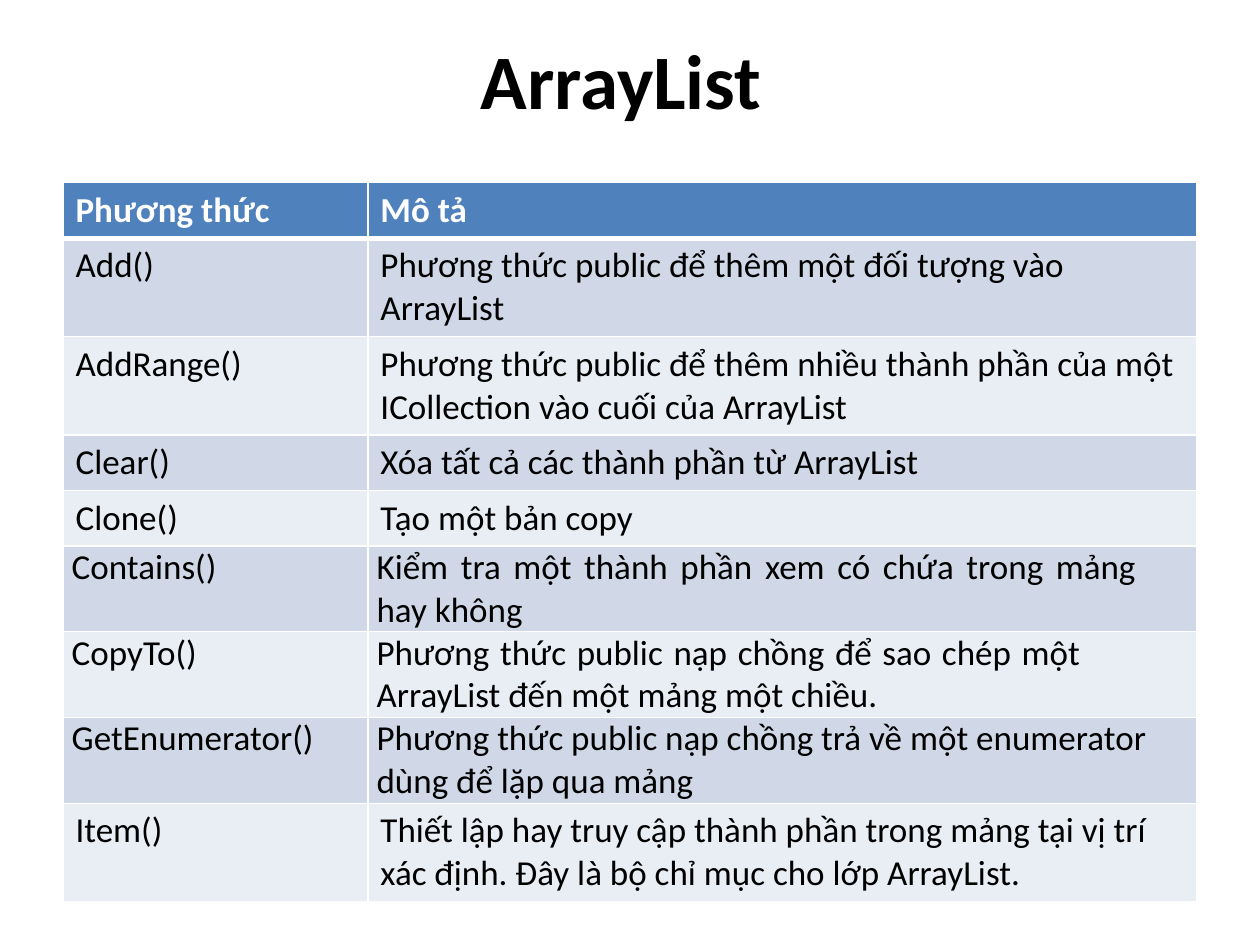
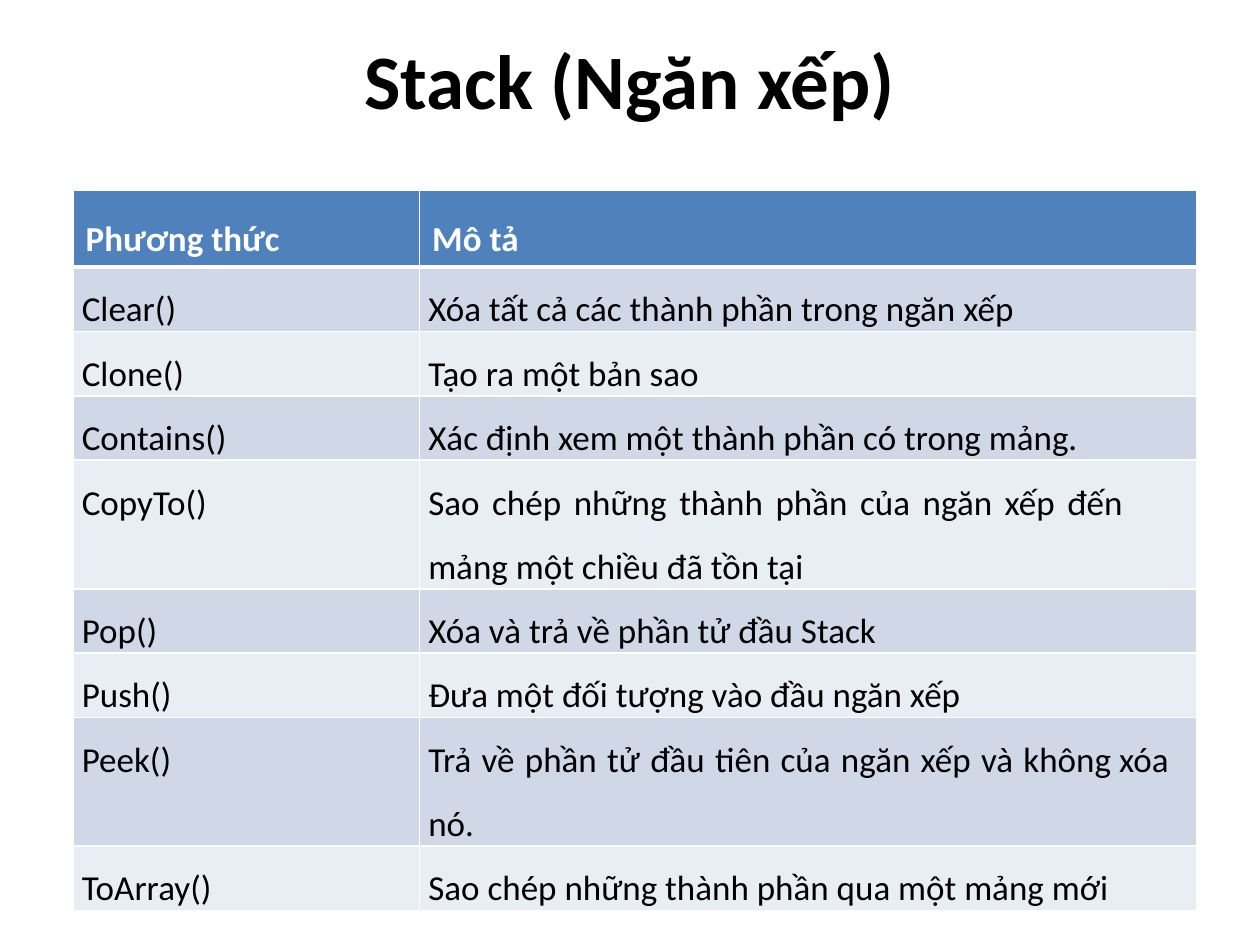
from pptx import Presentation
from pptx.dml.color import RGBColor
from pptx.enum.text import MSO_ANCHOR, PP_ALIGN
from pptx.oxml import parse_xml
from pptx.oxml.ns import nsdecls
from pptx.util import Pt

FONT = "Calibri"
BLACK, WHITE = "000000", "FFFFFF"
HEADER_FILL = "4F81BD"
BANDS = ["E9EDF4", "D0D8E8"]
HEADINGS = ("Phương thức", "Mô tả")
ROW_HEIGHT = 29.52
TABLE_HEIGHT = 403.2

ARRAYLIST_METHODS = [
    ("Add()", "Phương thức public để thêm một đối tượng vào ArrayList"),
    ("AddRange()", "Phương thức public để thêm nhiều thành phần của một "
                   "ICollection vào cuối của ArrayList"),
    ("Clear()", "Xóa tất cả các thành phần từ ArrayList"),
    ("Clone()", "Tạo một bản copy"),
    ("Contains()", "Kiểm tra một thành phần xem có chứa trong mảng hay không"),
    ("CopyTo()", "Phương thức public nạp chồng để sao chép một "
                 "ArrayList đến một mảng một chiều."),
    ("GetEnumerator()", "Phương thức public nạp chồng trả về một enumerator "
                        "dùng để lặp qua mảng"),
    ("Item()", "Thiết lập hay truy cập thành phần trong mảng tại vị trí xác định. "
               "Đây là bộ chỉ mục cho lớp ArrayList."),
]
STACK_METHODS = [
    ("Clear()", "Xóa tất cả các thành phần trong ngăn xếp"),
    ("Clone()", "Tạo ra một bản sao"),
    ("Contains()", "Xác định xem một thành phần có trong mảng."),
    ("CopyTo()", "Sao chép những thành phần của ngăn xếp đến mảng một chiều đã tồn tại"),
    ("Pop()", "Xóa và trả về phần tử đầu Stack"),
    ("Push()", "Đưa một đối tượng vào đầu ngăn xếp"),
    ("Peek()", "Trả về phần tử đầu tiên của ngăn xếp và không xóa nó."),
    ("ToArray()", "Sao chép những thành phần qua một mảng mới"),
]
# Opening words of a description: (number of widened spaces, extra points each)
WIDE_SPACES = {
    "Kiểm tra một": (10, 2.6),
    "Phương thức public nạp chồng để": (9, 1.5),
    "Sao chép những thành phần của": (9, 2.6),
    "Trả về phần tử": (10, 1.3),
}


def rgb(value):
    return RGBColor.from_string(value)


class Deck:
    def __init__(self):
        self.prs = Presentation()
        self.prs.slide_width, self.prs.slide_height = Pt(720), Pt(540)
        self.s = None

    def slide(self, title):
        self.s = self.prs.slides.add_slide(self.prs.slide_layouts[5])
        sp = self.s.shapes.title
        sp.left, sp.top, sp.width, sp.height = Pt(36), Pt(0), Pt(648), Pt(90)
        tf = sp.text_frame
        tf.text = title
        tf.vertical_anchor = MSO_ANCHOR.MIDDLE
        tf.paragraphs[0].alignment = PP_ALIGN.CENTER
        self.style(tf.paragraphs[0], 44, BLACK, True)

    def style(self, p, size, color, bold):
        for r in p.runs:
            r.font.name, r.font.size, r.font.bold = FONT, Pt(size), bold
            r.font.color.rgb = rgb(color)

    def widen_spaces(self, p, text, count, extra):
        """Write text with its first spaces set apart as wider runs."""
        *words, rest = text.split(" ", count)
        for word in words:
            p.add_run().text = word
            r = p.add_run()
            r.text = " "
            r.font._element.set("spc", str(round(extra * 100)))
        p.add_run().text = rest

    def borders(self, cell, top, bottom):
        tcPr = cell._tc.get_or_add_tcPr()
        for side, width in zip("LRTB", (1, 1, top, bottom)):
            tcPr.append(parse_xml(
                f'<a:ln{side} {nsdecls("a")} w="{Pt(width)}"><a:solidFill>'
                f'<a:srgbClr val="{WHITE}"/></a:solidFill></a:ln{side}>'))

    def cell(self, cell, row, col, text, tight, line_spacing):
        header = row == 0
        p = cell.text_frame.paragraphs[0]
        wide = next((w for start, w in WIDE_SPACES.items()
                     if tight and text.startswith(start)
                     and len(text.split()) > w[0]), None)
        if wide:
            self.widen_spaces(p, text, *wide)
        else:
            p.text = text
        if tight:
            cell.margin_left = cell.margin_right = Pt(0)
            cell.margin_top = cell.margin_bottom = Pt(0)
            p._p.get_or_add_pPr().set("marL", str(Pt(5)))
            p.space_before = Pt((4.3, 3.1)[col])
        if line_spacing:
            p.line_spacing = line_spacing
        self.style(p, 20, WHITE if header else BLACK, header)
        self.borders(cell, 3 if row == 1 else 1, 3 if header else 1)
        cell.fill.solid()
        cell.fill.fore_color.rgb = rgb(HEADER_FILL if header else BANDS[row % 2])

    def method_table(self, left, top, widths, methods, tight_rows, line_spacing=None):
        rows = [HEADINGS, *methods]
        frame = self.s.shapes.add_table(len(rows), len(widths), Pt(left), Pt(top),
                                        Pt(sum(widths)), Pt(TABLE_HEIGHT))
        table = frame.table
        for column, width in zip(table.columns, widths):
            column.width = Pt(width)
        for i, texts in enumerate(rows):
            table.rows[i].height = Pt(ROW_HEIGHT)
            for j, text in enumerate(texts):
                self.cell(table.cell(i, j), i, j, text, i in tight_rows, line_spacing)
        frame.height = Pt(TABLE_HEIGHT)


def main():
    deck = Deck()
    deck.slide("ArrayList ")
    deck.method_table(36, 104.4, (174.24, 473.76), ARRAYLIST_METHODS, range(5, 8))
    deck.slide("Stack (Ngăn xếp)")
    deck.method_table(41.76, 108.72, (198, 444.24), STACK_METHODS, range(1, 9), 1.5)
    deck.prs.save("out.pptx")


if __name__ == "__main__":
    main()
